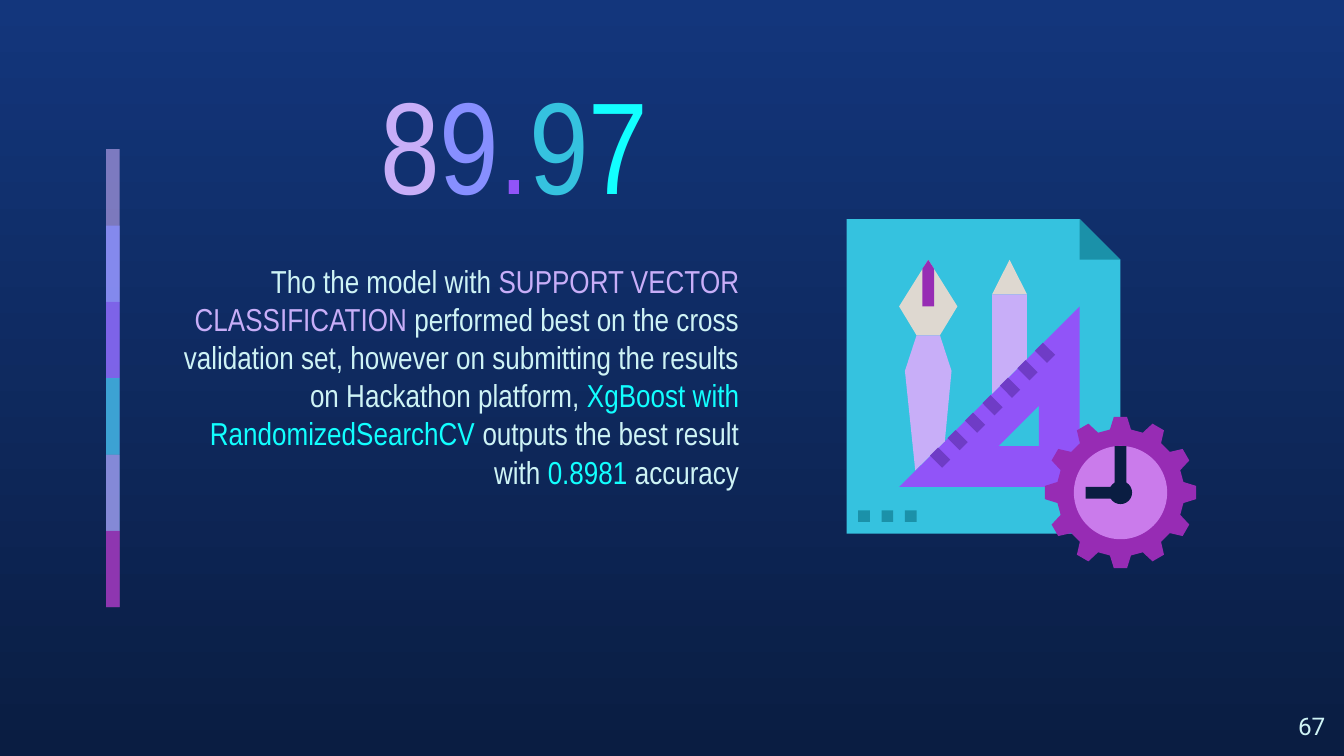
import math
from lxml import etree
from pptx import Presentation
from pptx import util as u
from pptx.dml.color import RGBColor
from pptx.enum import shapes, text
from pptx.oxml.ns import qn

COLUMNS = 100
ROWS = COLUMNS * 9 / 16
NARROW = "Arial Narrow"
PALE, LILAC, PERIWINKLE, VIOLET = "CEF3F5", "C8AEF8", "878FFF", "9154F8"
TEAL, CYAN, ORCHID, MAGENTA = "35C2DF", "12FFFF", "CA7BEB", "972CB4"
NAVY, DEEP_TEAL, IVORY, INDIGO = "0A1D42", "1B91A9", "DED8D0", "6F3CC6"


def colour(code):
    return RGBColor.from_string(code)


class Deck:
    def __init__(self):
        self.file = Presentation()
        self.file.slide_width = u.Inches(10)
        self.file.slide_height = self.file.slide_width * 9 // 16
        self.slide = self.file.slides.add_slide(self.file.slide_layouts[5])
        self.layer = self.slide.shapes

    def x(self, column):
        return round(self.file.slide_width * column / COLUMNS)

    def y(self, row):
        return round(self.file.slide_height * row / ROWS)

    def background(self, top, bottom):
        fill = self.slide.background.fill
        fill.gradient()
        fill.gradient_angle = 270
        for stop, (code, position) in zip(fill.gradient_stops, ((top, 0), (bottom, 1))):
            stop.color.rgb, stop.position = colour(code), position

    def group(self):
        self.layer = self.slide.shapes.add_group_shape().shapes

    def paint(self, shape, code, opacity=100):
        shape.shadow.inherit = False
        shape.line.fill.background()
        shape.fill.solid()
        shape.fill.fore_color.rgb = colour(code)
        if opacity < 100:
            tint = shape._element.spPr.find(".//" + qn("a:srgbClr"))
            etree.SubElement(tint, qn("a:alpha"), val=str(opacity * 1000))

    def block(self, left, top, width, height, code, opacity=100):
        bar = self.layer.add_shape(shapes.MSO_SHAPE.RECTANGLE, self.x(left), self.y(top),
                                   self.x(width), self.y(height))
        self.paint(bar, code, opacity)

    def disc(self, column, row, radius, code):
        circle = self.layer.add_shape(
            shapes.MSO_SHAPE.OVAL, self.x(column - radius), self.y(row - radius),
            self.x(2 * radius), self.y(2 * radius))
        self.paint(circle, code)

    def outline(self, code, *contours):
        grid = [[(self.x(column), self.y(row)) for column, row in contour] for contour in contours]
        builder = self.layer.build_freeform(*grid[0][0])
        for index, (start, *rest) in enumerate(grid):
            if index:
                builder.move_to(*start)
            builder.add_line_segments(rest, close=True)
        self.paint(builder.convert_to_shape(), code)

    def label(self, left, top, width, height, runs, align, size, font, box=None):
        box = box or self.slide.shapes.add_textbox(0, 0, 0, 0)
        place = {"left": self.x(left), "top": self.y(top),
                 "width": self.x(width), "height": self.y(height)}
        for name, value in place.items():
            setattr(box, name, value)
        frame = box.text_frame
        layout = {"word_wrap": True, "auto_size": text.MSO_AUTO_SIZE.NONE,
                  "vertical_anchor": text.MSO_ANCHOR.TOP}
        layout.update({f"margin_{side}": self.x(1) for side in ("left", "right", "top", "bottom")})
        for name, value in layout.items():
            setattr(frame, name, value)
        paragraph = frame.paragraphs[0]
        paragraph.alignment = align
        for words, code in runs:
            run = paragraph.add_run()
            run.text = words
            for name, value in {"size": u.Pt(size), "name": font}.items():
                setattr(run.font, name, value)
            run.font.color.rgb = colour(code)


def side_bar(deck):
    deck.group()
    step = 5.68
    bands = [(LILAC, 59), (PERIWINKLE, 74), (VIOLET, 53), (TEAL, 76), (ORCHID, 56), (MAGENTA, 74)]
    for index, (code, opacity) in enumerate(bands):
        height = step if index == len(bands) - 1 else 2 * step
        deck.block(7.9, 11.1 + index * step, 1, height, code, opacity)


def wording(deck):
    right, left = text.PP_ALIGN.RIGHT, text.PP_ALIGN.LEFT
    finding = [
        ("Tho the model with ", PALE),
        ("SUPPORT VECTOR CLASSIFICATION", LILAC),
        (" performed best on the cross validation set, however on submitting"
         " the results on Hackathon platform,", PALE),
        (" XgBoost with RandomizedSearchCV", CYAN),
        (" outputs the best result with ", PALE),
        ("0.8981", CYAN),
        (" accuracy", PALE),
    ]
    deck.label(11.5, 18.48, 44.5, 29.8, finding, right, 17, NARROW, deck.slide.shapes.title)
    deck.label(93.6, 51.95, 6, 4.3, [("67", PALE)], right, 13, "Roboto")
    score = zip("89.97", (LILAC, PERIWINKLE, VIOLET, TEAL, CYAN))
    deck.label(27.3, 3.75, 24.5, 13.8, score, left, 70, NARROW)


def gear(column, row, teeth=12, root=4.75, tip=5.65):
    corners = ((-9.5, root), (-5, tip), (5, tip), (9.5, root))
    points = []
    for tooth in range(teeth):
        for offset, radius in corners:
            angle = math.radians(tooth * 360 / teeth + offset)
            points.append((column + radius * math.sin(angle), row - radius * math.cos(angle)))
    return points


def design_tools(deck):
    deck.group()
    hub = (83.37, 36.65)
    deck.outline(TEAL, [(63, 16.3), (63, 39.7), (83.37, 39.7), (83.37, 19.33), (80.33, 16.3)])
    deck.outline(DEEP_TEAL, [(80.33, 16.3), (80.33, 19.33), (83.37, 19.33)])

    deck.outline(VIOLET, [(80.33, 22.8), (66.9, 36.23), (80.33, 36.23)],
                 [(77.3, 30.2), (77.3, 33.2), (74.3, 33.2)])
    deck.outline(MAGENTA, gear(*hub))

    deck.outline(IVORY, [(75.12, 19.33), (73.82, 21.9), (76.42, 21.9)])
    deck.outline(LILAC, [(73.82, 21.9), (73.82, 29.3), (76.42, 26.7), (76.42, 21.9)])
    deck.outline(IVORY, [(69.07, 19.33), (66.9, 22.8), (68.2, 24.95), (69.94, 24.95), (71.24, 22.8)])
    deck.outline(LILAC, [(68.2, 24.95), (67.33, 27.6), (68.1, 35),
                         (70.3, 32.85), (70.8, 27.6), (69.94, 24.95)])

    deck.disc(*hub, 3.47, ORCHID)
    deck.outline(NAVY, [(82.93, 33.2), (82.93, 36.23), (80.77, 36.23),
                        (80.77, 37.1), (83.8, 37.1), (83.8, 33.2)])
    deck.disc(*hub, 0.86, NAVY)
    deck.outline(MAGENTA, [(69.07, 19.33), (68.63, 20), (68.63, 22.8), (69.5, 22.8), (69.5, 20)])

    for mark in range(7):
        column, row = 69.8 + 1.3 * mark, 33.3 - 1.3 * mark
        deck.outline(INDIGO, [(column, row), (column - 0.6, row + 0.6),
                              (column + 0.3, row + 1.5), (column + 0.9, row + 0.9)])
    for dot in range(3):
        deck.block(63.85 + 1.74 * dot, 37.97, 0.87, 0.87, DEEP_TEAL)


def main():
    deck = Deck()
    deck.background("13367C", NAVY)
    side_bar(deck)
    wording(deck)
    design_tools(deck)
    deck.file.save("out.pptx")


if __name__ == "__main__":
    main()
